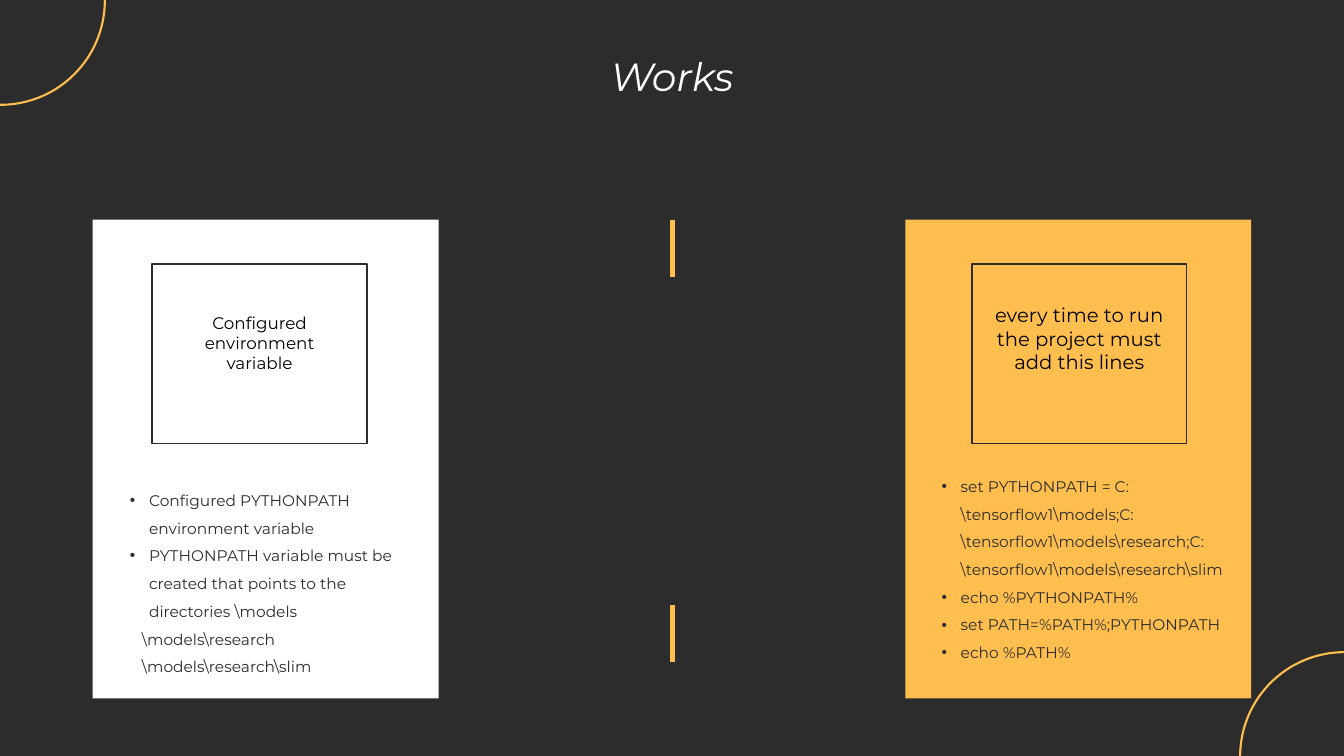
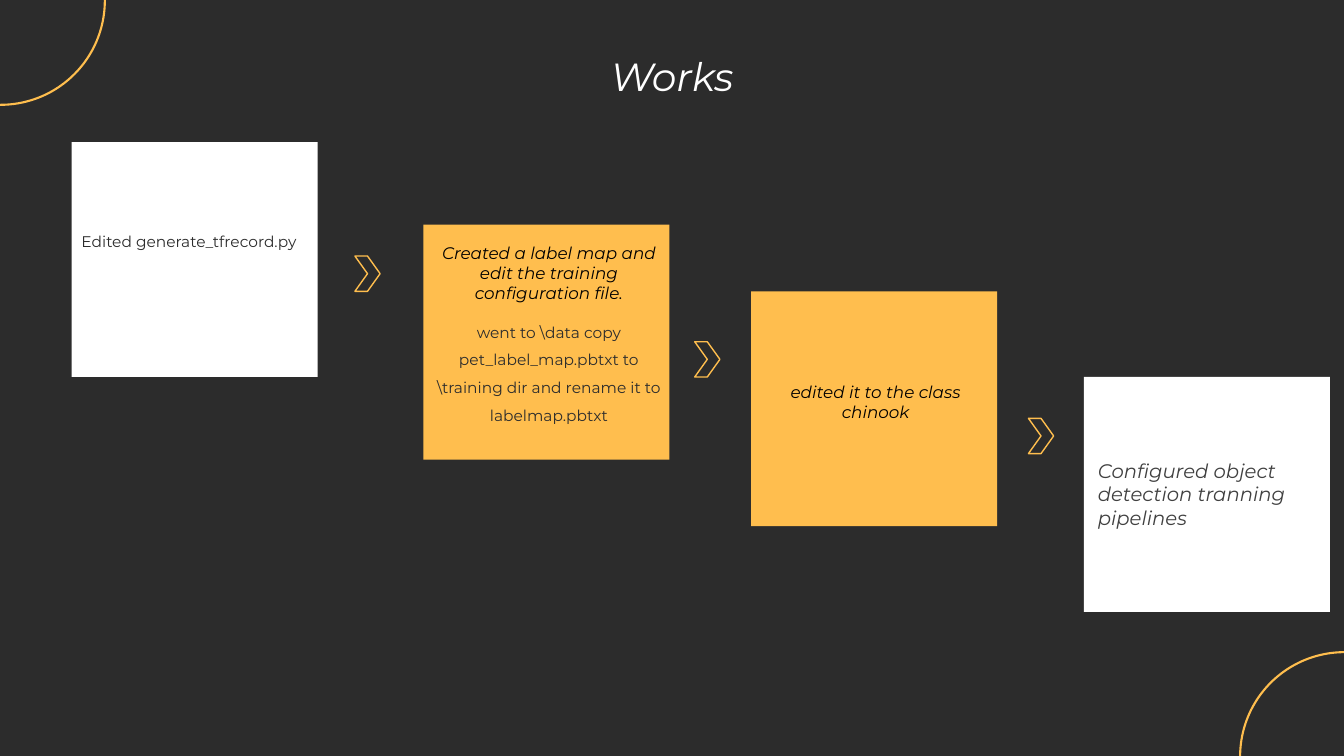
from dataclasses import dataclass

from lxml import etree
from pptx import Presentation
from pptx.dml.color import RGBColor
from pptx.enum import shapes, text
from pptx.oxml import ns
from pptx.util import Inches, Pt


@dataclass(frozen=True)
class Theme:
    font: str = "Montserrat"
    dark: str = "2C2C2C"
    amber: str = "FFBE4E"
    white: str = "FFFFFF"
    black: str = "000000"
    grey: str = "404040"
    title: int = 28
    lead: int = 14
    heading: int = 12
    body: int = 11


theme = Theme()
SHAPE = shapes.MSO_SHAPE
LEFT, CENTER = text.PP_ALIGN.LEFT, text.PP_ALIGN.CENTER
BULLET, INDENT = "bullet", "indent"


def add_figure(slide, kind, box, fill=None, line=None, width=1):
    figure = slide.shapes.add_shape(kind, *map(Inches, box))
    figure.shadow.inherit = False
    if fill:
        figure.fill.solid()
        figure.fill.fore_color.rgb = RGBColor.from_string(fill)
    else:
        figure.fill.background()
    if line:
        figure.line.color.rgb = RGBColor.from_string(line)
        figure.line.width = Pt(width)
    else:
        figure.line.fill.background()
    return figure


def add_text(slide, box, paragraphs, size, color, align=CENTER, italic=False, spacing=None):
    """Write paragraphs given as strings or as (string, BULLET or INDENT) pairs."""
    frame = slide.shapes.add_textbox(*map(Inches, box)).text_frame
    frame.word_wrap = True
    for number, entry in enumerate(paragraphs):
        words, style = (entry, None) if isinstance(entry, str) else entry
        paragraph = frame.paragraphs[0] if number == 0 else frame.add_paragraph()
        properties = paragraph._p.get_or_add_pPr()
        if style == BULLET:
            properties.set("marL", str(Inches(0.19)))
            properties.set("indent", str(-Inches(0.19)))
            etree.SubElement(properties, ns.qn("a:buFont"), typeface="Arial")
            etree.SubElement(properties, ns.qn("a:buChar"), char="•")
        elif style == INDENT:
            properties.set("marL", str(Inches(0.12)))
        paragraph.alignment = align
        if spacing:
            paragraph.line_spacing = spacing
        run = paragraph.add_run()
        run.text = words
        look = {"name": theme.font, "size": Pt(size), "italic": italic}
        for attribute, value in look.items():
            setattr(run.font, attribute, value)
        run.font.color.rgb = RGBColor.from_string(color)


prs = Presentation()
prs.slide_width, prs.slide_height = Inches(13.33), Inches(7.5)
backdrop = prs.slide_master.background.fill
backdrop.solid()
backdrop.fore_color.rgb = RGBColor.from_string(theme.dark)

# Shared frame: corner circles and title
slides = []
for _ in range(2):
    slide = prs.slides.add_slide(prs.slide_layouts[6])
    for left, top in ((-1.03, -1.03), (12.3, 6.47)):
        add_figure(slide, SHAPE.OVAL, (left, top, 2.07, 2.07), line=theme.amber, width=1.5)
    add_text(slide, (4.8, 0.47, 3.73, 0.57), ["Works"], theme.title, theme.white, italic=True)
    slides.append(slide)
environment, workflow = slides

# Slide 1: two cards, each with a framed heading and a list
cards = [
    dict(left=0.92, fill=theme.white, frame=1.51,
         heading="Configured environment variable",
         heading_box=(1.8, 3.05, 1.55, 0.71), heading_size=theme.heading,
         list_box=(1.19, 4.73, 3.07, 2.04),
         items=[("Configured PYTHONPATH environment variable", BULLET),
                ("PYTHONPATH variable must be created that points to the "
                 "directories \\models", BULLET),
                ("\\models\\research", INDENT),
                ("\\models\\research\\slim", INDENT)]),
    dict(left=8.98, fill=theme.amber, frame=9.64,
         heading="every time to run the project must add this lines",
         heading_box=(9.64, 2.96, 2.13, 0.81), heading_size=theme.lead,
         list_box=(9.24, 4.59, 3.07, 2.32),
         items=[("set PYTHONPATH = C:\\tensorflow1\\models;C:\\tensorflow1\\models\\research;"
                 "C:\\tensorflow1\\models\\research\\slim", BULLET),
                ("echo %PYTHONPATH%", BULLET),
                ("set PATH=%PATH%;PYTHONPATH", BULLET),
                ("echo %PATH%", BULLET)]),
]
for card in cards:
    add_figure(environment, SHAPE.RECTANGLE, (card["left"], 2.18, 3.43, 4.75), fill=card["fill"])
    add_figure(environment, SHAPE.RECTANGLE, (card["frame"], 2.62, 2.13, 1.78), line=theme.dark)
    add_text(environment, card["heading_box"], [card["heading"]],
             card["heading_size"], theme.black)
    add_text(environment, card["list_box"], card["items"],
             theme.body, theme.dark, align=LEFT, spacing=1.5)

for top in (2.18, 6.0):
    divider = environment.shapes.add_connector(
        shapes.MSO_CONNECTOR.STRAIGHT,
        Inches(6.67), Inches(top), Inches(6.67), Inches(top + 0.57))
    divider.line.color.rgb = RGBColor.from_string(theme.amber)
    divider.line.width = Pt(3)
    etree.SubElement(divider._element.spPr, ns.qn("a:effectLst"))

# Slide 2: descending steps joined by chevrons
steps = [(0.71, 1.41, theme.white), (4.2, 2.23, theme.amber),
         (7.45, 2.89, theme.amber), (10.75, 3.74, theme.white)]
for left, top, fill in steps:
    add_figure(workflow, SHAPE.RECTANGLE, (left, top, 2.44, 2.33), fill=fill)
for left, top in ((3.52, 2.54), (6.89, 3.39), (10.2, 4.15)):
    add_figure(workflow, SHAPE.CHEVRON, (left, top, 0.25, 0.35), line=theme.amber)

details = [
    ((0.59, 2.16, 2.57, 0.38), "Edited generate_tfrecord.py"),
    ((4.16, 3.06, 2.57, 1.21), "went to \\data copy pet_label_map.pbtxt to \\training dir "
                               "and rename it to labelmap.pbtxt"),
]
for box, words in details:
    add_text(workflow, box, [words], theme.body, theme.dark, spacing=1.5)

headings = [
    ((4.24, 2.36, 2.41, 0.71), "Created a label map and edit the training configuration file.",
     theme.heading, theme.black, CENTER),
    ((7.48, 3.74, 2.41, 0.5), "edited it to the class chinook",
     theme.heading, theme.black, CENTER),
    ((10.79, 4.5, 2.41, 0.81), "Configured object detection tranning pipelines",
     theme.lead, theme.grey, LEFT),
]
for box, words, size, color, align in headings:
    add_text(workflow, box, [words], size, color, align=align, italic=True)

prs.save("out.pptx")
